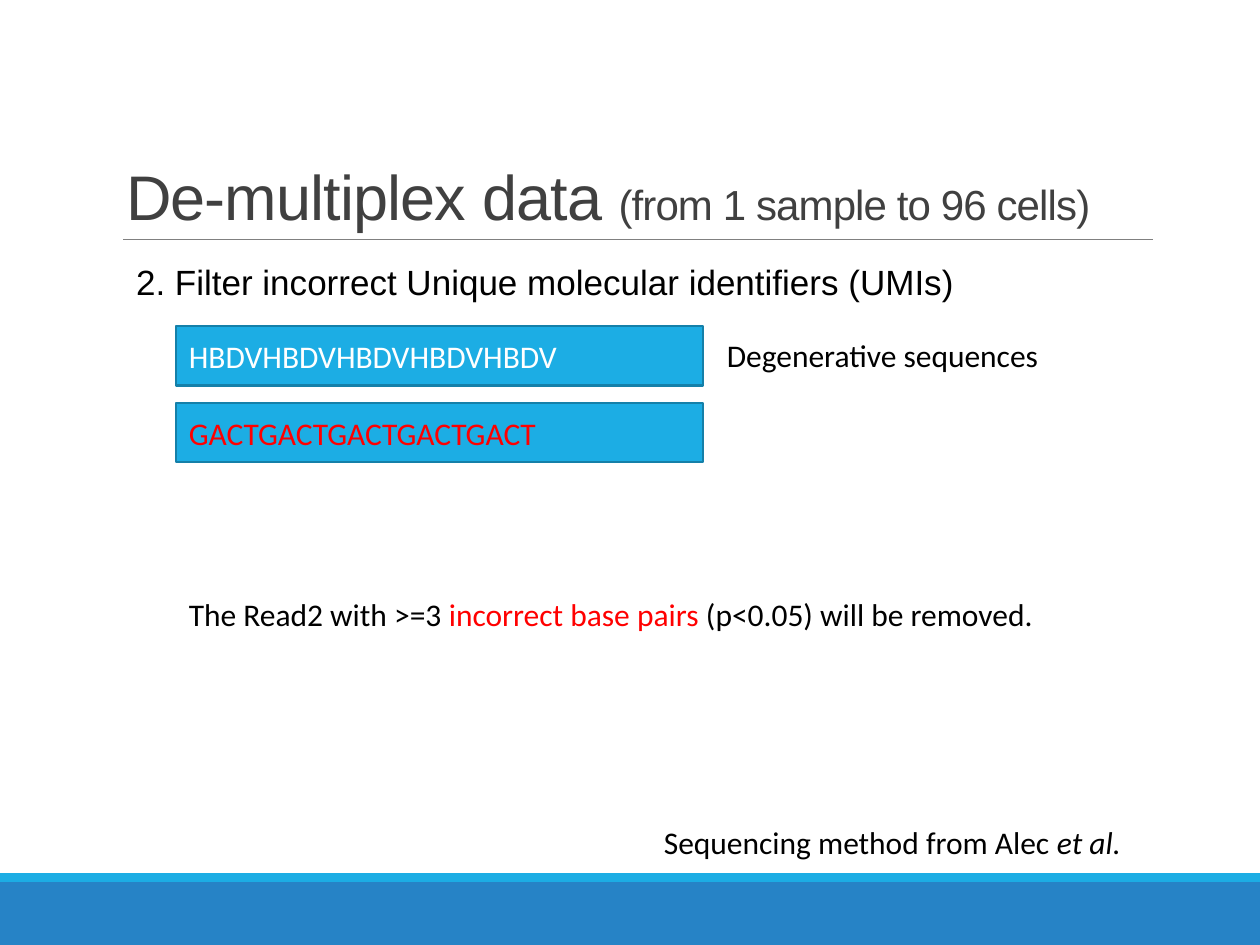
from lxml.etree import SubElement
from pptx import Presentation
from pptx.dml.color import RGBColor
from pptx.enum.shapes import MSO_CONNECTOR, MSO_SHAPE
from pptx.enum.text import MSO_ANCHOR, MSO_AUTO_SIZE, PP_ALIGN
from pptx.oxml.ns import qn
from pptx.util import Inches, Pt

WHITE = RGBColor(0xFF, 0xFF, 0xFF)
BLACK = RGBColor(0x00, 0x00, 0x00)
RED = RGBColor(0xFF, 0x00, 0x00)
DARK_GRAY = RGBColor(0x40, 0x40, 0x40)
RULE_GRAY = RGBColor(0x80, 0x80, 0x80)
SKY = RGBColor(0x1C, 0xAD, 0xE4)
SKY_EDGE = RGBColor(0x15, 0x80, 0xA9)
BLUE = RGBColor(0x26, 0x83, 0xC6)

WIDTH, HEIGHT = 10, 7.5
LEFT, CONTENT_W = 0.9, 8.25
INDENT = 1.4
BAR_TOP, BAR_W, BAR_H, BAR_STEP = 2.59, 4.18, 0.47, 0.61
BAND_TOP, STRIPE_H = 7, 0.07


def add_run(p, text, color=BLACK, size=18, font="Calibri", italic=None):
    r = p.add_run()
    r.text = text
    r.font.name = font
    r.font.size = Pt(size)
    r.font.italic = italic
    r.font.color.rgb = color
    return r


def place(sp, left, top, width, height):
    sp.left, sp.top = Inches(left), Inches(top)
    sp.width, sp.height = Inches(width), Inches(height)


def add_rect(s, left, top, width, height, fill, edge=None):
    sp = s.shapes.add_shape(MSO_SHAPE.RECTANGLE, Inches(left), Inches(top),
                            Inches(width), Inches(height))
    sp.shadow.inherit = False
    sp.fill.solid()
    sp.fill.fore_color.rgb = fill
    if edge is None:
        sp.line.fill.background()
    else:
        sp.line.color.rgb = edge
        sp.line.width = Pt(1.25)
    return sp


def add_sequence(s, row, sequence, color):
    sp = add_rect(s, INDENT, BAR_TOP + row * BAR_STEP, BAR_W, BAR_H, SKY, SKY_EDGE)
    tf = sp.text_frame
    tf.vertical_anchor = MSO_ANCHOR.MIDDLE
    p = tf.paragraphs[0]
    p.alignment = PP_ALIGN.JUSTIFY
    add_run(p, sequence, color)


def add_note(s, left, top, width):
    sp = s.shapes.add_textbox(Inches(left), Inches(top), Inches(width), Inches(0.4))
    tf = sp.text_frame
    tf.word_wrap = True
    tf.auto_size = MSO_AUTO_SIZE.SHAPE_TO_FIT_TEXT
    return tf.paragraphs[0]


def add_rule(s, left, right, y):
    line = s.shapes.add_connector(MSO_CONNECTOR.STRAIGHT, Inches(left), Inches(y),
                                  Inches(right), Inches(y))
    line.line.color.rgb = RULE_GRAY
    line.line.width = Pt(0.5)
    SubElement(line._element.spPr, qn("a:effectLst"))


def fill_title(sp):
    place(sp, LEFT, 0.31, CONTENT_W, 1.59)
    tf = sp.text_frame
    tf.auto_size = MSO_AUTO_SIZE.NONE
    tf.vertical_anchor = MSO_ANCHOR.BOTTOM
    p = tf.paragraphs[0]
    p.alignment = PP_ALIGN.LEFT
    p.line_spacing = 0.85
    for text, size in (("De-multiplex data ", 36), ("(from 1 sample to 96 cells)", 24)):
        r = add_run(p, text, DARK_GRAY, size, "Arial")
        r.font._element.set("spc", "-50")


def fill_body(sp):
    place(sp, LEFT, 2.02, CONTENT_W, 0.91)
    tf = sp.text_frame
    tf.auto_size = MSO_AUTO_SIZE.NONE
    p = tf.paragraphs[0]
    pPr = p._p.get_or_add_pPr()
    pPr.set("marL", str(Inches(0.08)))
    pPr.set("indent", "0")
    SubElement(pPr, qn("a:buNone"))
    p.space_before = Pt(0)
    p.space_after = Pt(2)
    add_run(p, "2. Filter incorrect Unique molecular identifiers (UMIs)",
            size=20, font="Arial")


def main():
    prs = Presentation()
    prs.slide_width, prs.slide_height = Inches(WIDTH), Inches(HEIGHT)
    s = prs.slides.add_slide(prs.slide_layouts[1])

    add_rect(s, 0, BAND_TOP, WIDTH, HEIGHT - BAND_TOP, BLUE)
    add_rect(s, 0, BAND_TOP - STRIPE_H, WIDTH, STRIPE_H, SKY)
    add_rule(s, 0.98, LEFT + CONTENT_W, 1.9)
    fill_title(s.shapes.title)
    fill_body(s.placeholders[1])

    add_sequence(s, 0, "HBDVHBDVHBDVHBDVHBDV", WHITE)
    add_sequence(s, 1, "GACTGACTGACTGACTGACT", RED)

    add_run(add_note(s, 5.67, 2.62, 2.7), "Degenerative sequences")

    p = add_note(s, INDENT, 4.67, 6.97)
    add_run(p, "The Read2 with >=3 ")
    add_run(p, "incorrect base pairs ", RED)
    add_run(p, "(p<0.05) will be removed.")

    p = add_note(s, 5.17, 6.48, 3.98)
    add_run(p, "Sequencing method from Alec ")
    add_run(p, "et al.", italic=True)

    prs.save("out.pptx")


if __name__ == "__main__":
    main()
